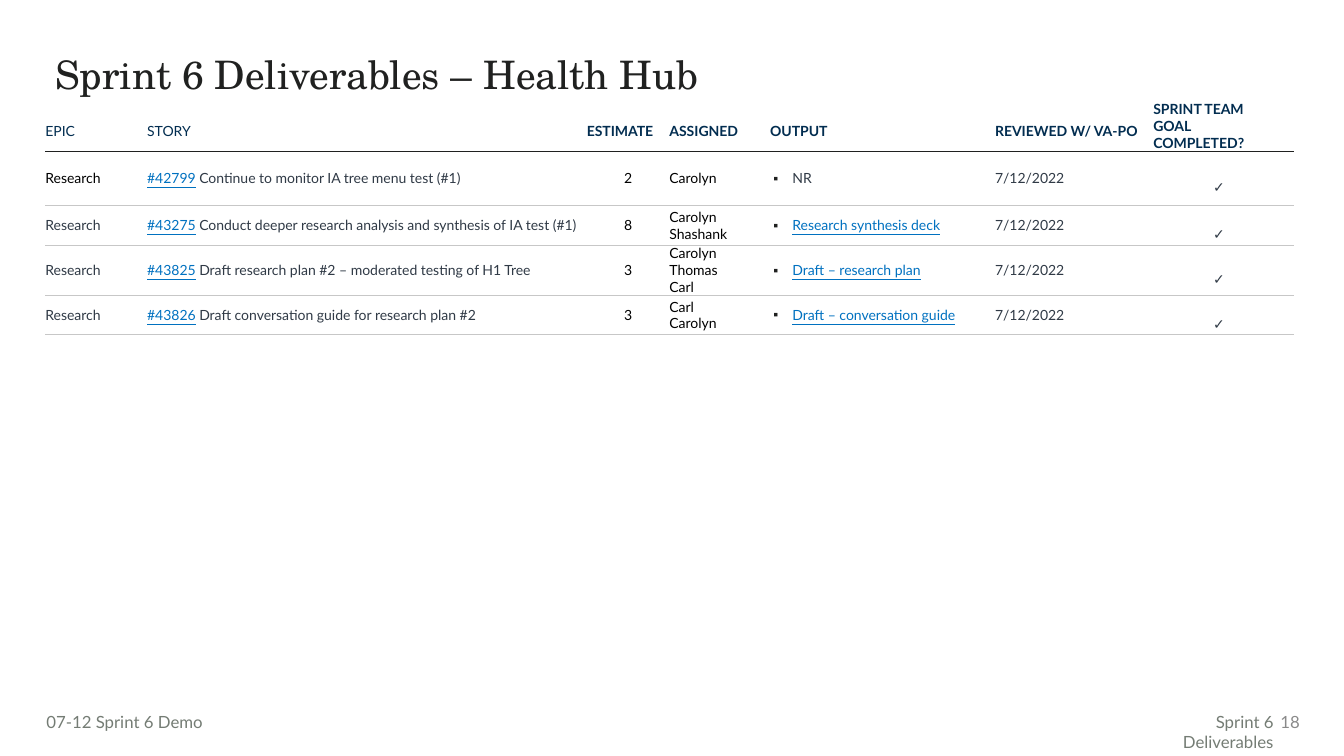
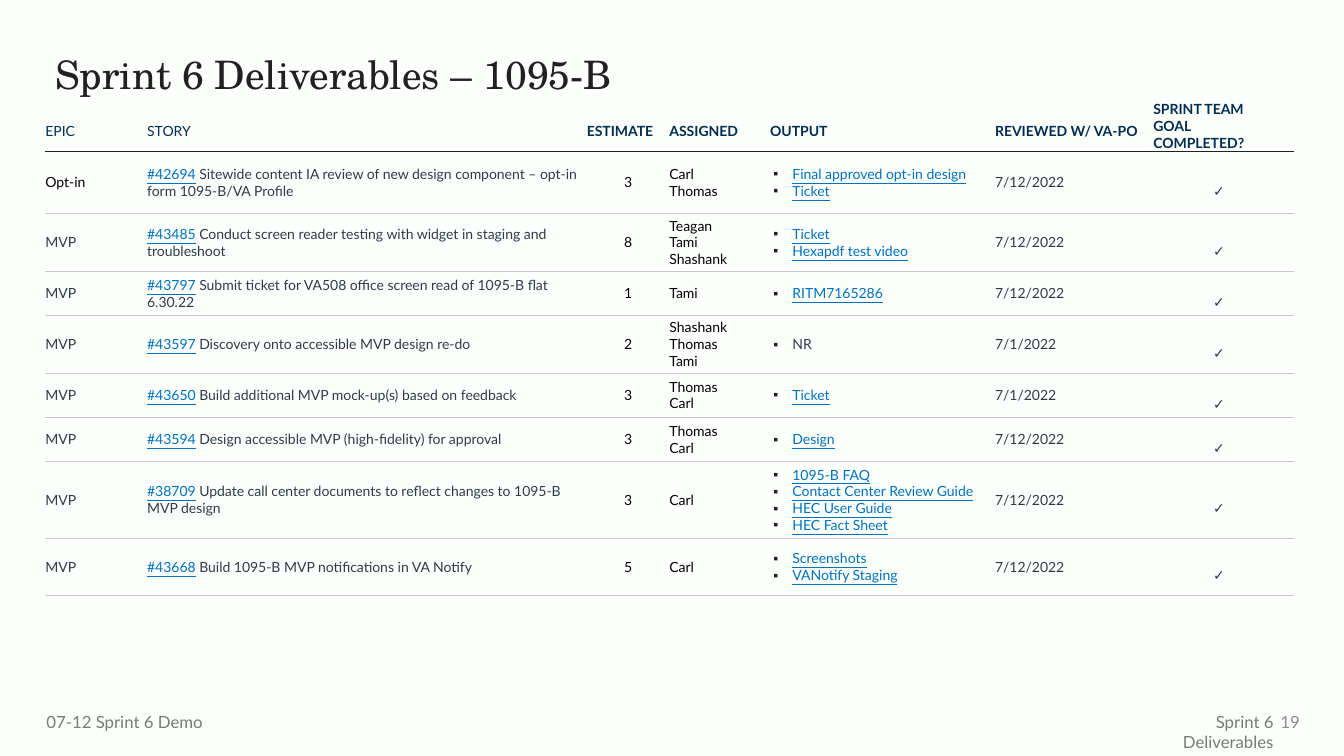
from lxml import etree
from pptx import Presentation
from pptx.dml.color import RGBColor
from pptx.enum import text as t
from pptx.oxml import parse_xml
from pptx.oxml.ns import nsdecls, qn
from pptx.util import Inches, Pt

INK, NAVY, BODY, BLACK = "202120", "022D50", "303A46", "000000"
LINK, RULE, FOOTER, NUMBER = "0071C0", "C7C7C7", "747C74", "8A8A8A"
SANS, SERIF = "Lato", "TeX Gyre Schola"
NO_STYLE = "{2D5ABB26-0587-4C30-8999-92F81FD0307C}"
LEFT, CENTER, RIGHT = t.PP_ALIGN.LEFT, t.PP_ALIGN.CENTER, t.PP_ALIGN.RIGHT
TOP, MIDDLE = t.MSO_ANCHOR.TOP, t.MSO_ANCHOR.MIDDLE

HEADERS = ["EPIC", "STORY", "ESTIMATE", "ASSIGNED", "OUTPUT", "REVIEWED W/ VA-PO",
           "SPRINT TEAM GOAL COMPLETED?"]
COLUMN_WIDTHS = [1.01, 4.36, 0.82, 1, 2.23, 1.47, 1.5]
HEADER_HEIGHT = 0.5

SLIDES = [
    ("Sprint 6 Deliverables – Health Hub", "18", "FFFFFF", [
        (0.54, "Research", "#42799", "Continue to monitor IA tree menu test (#1)", "2",
         ["Carolyn"], ["NR"], "7/12/2022"),
        (0.39, "Research", "#43275",
         "Conduct deeper research analysis and synthesis of IA test (#1)", "8",
         ["Carolyn", "Shashank"], ["Research synthesis deck"], "7/12/2022"),
        (0.5, "Research", "#43825", "Draft research plan #2 – moderated testing of H1 Tree", "3",
         ["Carolyn Thomas", "Carl"], ["Draft – research plan"], "7/12/2022"),
        (0.39, "Research", "#43826", "Draft conversation guide for research plan #2", "3",
         ["Carl", "Carolyn"], ["Draft – conversation guide"], "7/12/2022"),
    ]),
    ("Sprint 6 Deliverables – 1095-B", "19", "FDFFFD", [
        (0.62, "Opt-in", "#42694",
         "Sitewide content IA review of new design component – opt-in form 1095-B/VA Profile", "3",
         ["Carl", "Thomas"], ["Final approved opt-in design", "Ticket"], "7/12/2022"),
        (0.57, "MVP", "#43485",
         "Conduct screen reader testing with widget in staging and troubleshoot", "8",
         ["Teagan", "Tami", "Shashank"], ["Ticket", "Hexapdf test video"], "7/12/2022"),
        (0.44, "MVP", "#43797",
         "Submit ticket for VA508 office screen read of 1095-B flat 6.30.22", "1",
         ["Tami"], ["RITM7165286"], "7/12/2022"),
        (0.57, "MVP", "#43597", "Discovery onto accessible MVP design re-do", "2",
         ["Shashank", "Thomas", "Tami"], ["NR"], "7/1/2022"),
        (0.44, "MVP", "#43650", "Build additional MVP mock-up(s) based on feedback", "3",
         ["Thomas", "Carl"], ["Ticket"], "7/1/2022"),
        (0.44, "MVP", "#43594", "Design accessible MVP (high-fidelity) for approval", "3",
         ["Thomas", "Carl"], ["Design"], "7/12/2022"),
        (0.76, "MVP", "#38709",
         "Update call center documents to reflect changes to 1095-B MVP design", "3",
         ["Carl"], ["1095-B FAQ", "Contact Center Review Guide", "HEC User Guide",
                    "HEC Fact Sheet"], "7/12/2022"),
        (0.57, "MVP", "#43668", "Build 1095-B MVP notifications in VA Notify", "5",
         ["Carl"], ["Screenshots", "VANotify Staging"], "7/12/2022"),
    ]),
]


def color(value):
    return RGBColor.from_string(value)


def write(frame, lines, ink, size=10, font=SANS, align=LEFT, bold=False, bullet=False):
    frame.word_wrap = True
    for index, line in enumerate(lines):
        paragraph = frame.paragraphs[0] if index == 0 else frame.add_paragraph()
        paragraph.alignment = align
        if bullet:
            properties = paragraph._p.get_or_add_pPr()
            properties.set("marL", str(Inches(0.22)))
            properties.set("indent", str(Inches(-0.19)))
            bullet_color = etree.SubElement(properties, qn("a:buClr"))
            etree.SubElement(bullet_color, qn("a:srgbClr"), val=INK)
            etree.SubElement(properties, qn("a:buFont"), typeface="Arial")
            etree.SubElement(properties, qn("a:buChar"), char="▪")
        paragraph.font.name = font
        paragraph.font.size = Pt(size)
        paragraph.font.bold = bold
        paragraph.font.color.rgb = color(ink)
        for content, is_link in line:
            run = paragraph.add_run()
            run.text = content
            if is_link:
                run.font.underline = True
                run.font.color.rgb = color(LINK)


presentation = Presentation()
presentation.slide_width, presentation.slide_height = Inches(13.33), Inches(7.5)

for title, number, background, stories in SLIDES:
    slide = presentation.slides.add_slide(presentation.slide_layouts[6])
    slide.background.fill.solid()
    slide.background.fill.fore_color.rgb = color(background)

    labels = [
        (title, 0.45, 0.5, 12.42, 0.82, 28, SERIF, INK, LEFT, TOP, 0.1),
        (number, 12.55, 6.96, 0.44, 0.4, 12, SANS, NUMBER, RIGHT, MIDDLE, 0.1),
        ("Sprint 6 Deliverables", 11.09, 7.01, 1.64, 0.3, 12, SANS, FOOTER, RIGHT, TOP, 0.1),
        ("07-12 Sprint 6 Demo", 0.46, 7.01, 2.98, 0.3, 12, SANS, FOOTER, LEFT, TOP, 0),
    ]
    for label, left, top, width, height, size, font, ink, align, anchor, inset in labels:
        box = slide.shapes.add_textbox(Inches(left), Inches(top), Inches(width), Inches(height))
        frame = box.text_frame
        frame.margin_left = Inches(inset)
        frame.vertical_anchor = anchor
        write(frame, [[(label, False)]], ink, size, font, align)
        if font == SERIF:
            frame.paragraphs[0].line_spacing = 0.9

    heights = [HEADER_HEIGHT] + [story[0] for story in stories]
    table = slide.shapes.add_table(
        len(heights), len(HEADERS), Inches(0.45), Inches(1),
        Inches(sum(COLUMN_WIDTHS)), Inches(sum(heights))).table
    table.horz_banding = False
    table._tbl.tblPr.find(qn("a:tableStyleId")).text = NO_STYLE
    for column, width in zip(table.columns, COLUMN_WIDTHS):
        column.width = Inches(width)
    for row, height in zip(table.rows, heights):
        row.height = Inches(height)

    for index, header in enumerate(HEADERS):
        cell = table.cell(0, index)
        last = index == len(HEADERS) - 1
        cell.margin_left = Inches(0.1 if last else 0)
        cell.margin_top = Inches(0 if last else 0.1)
        cell.margin_right = Inches(0.2 if last else 0 if index > 3 else 0.1)
        cell.margin_bottom = 0
        cell.vertical_anchor = TOP if last else MIDDLE
        write(cell.text_frame, [[(header, False)]], NAVY, bold=index > 1)

    for row_index, story in enumerate(stories, 1):
        height, epic, ticket, summary, estimate, people, outputs, reviewed = story
        contents = [
            ([[(epic, False)]], BLACK if row_index == 1 else BODY, LEFT),
            ([[(ticket, True), (" " + summary, False)]], BODY, LEFT),
            ([[(estimate, False)]], BLACK, CENTER),
            ([[(person, False)] for person in people], BLACK, LEFT),
            ([[(output, output != "NR")] for output in outputs], BODY, LEFT),
            ([[(reviewed, False)]], BODY, LEFT),
            ([[("✓", False)]], BODY, CENTER),
        ]
        for index, (lines, ink, align) in enumerate(contents):
            cell = table.cell(row_index, index)
            cell.margin_left = cell.margin_bottom = 0
            cell.margin_top = Inches(0.17 if HEADERS[index].startswith("SPRINT") else 0)
            cell.margin_right = Inches(0.4 if HEADERS[index] in ("EPIC", "ASSIGNED") else 0)
            cell.vertical_anchor = MIDDLE
            write(cell.text_frame, lines, ink, align=align, bullet=HEADERS[index] == "OUTPUT")

    for row_index, row in enumerate(table.rows):
        edges = [("lnB", row_index == 0)]
        if row_index:
            edges.append(("lnT", row_index == 1))
        for cell in row.cells:
            cell.fill.background()
            for edge, is_header in edges:
                weight, ink = (1, INK) if is_header else (0.75, RULE)
                cell._tc.get_or_add_tcPr().insert(0, parse_xml(
                    f'<a:{edge} {nsdecls("a")} w="{Pt(weight)}"><a:solidFill>'
                    f'<a:srgbClr val="{ink}"/></a:solidFill></a:{edge}>'))

presentation.save("out.pptx")
